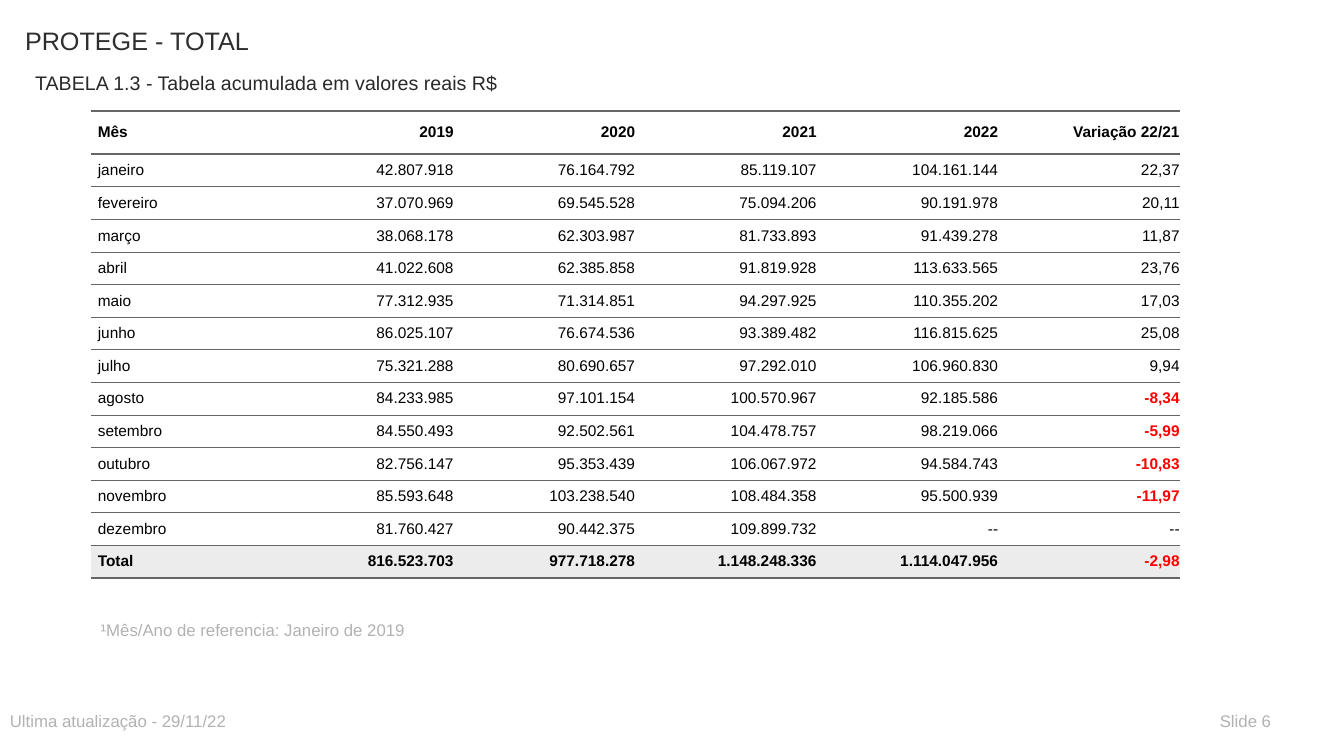
from typing import NamedTuple

from lxml.etree import SubElement
from pptx import Presentation
from pptx.dml.color import RGBColor
from pptx.enum.text import MSO_ANCHOR, PP_ALIGN
from pptx.oxml.ns import qn
from pptx.util import Inches, Pt

FONT = "Arial"
COLORS = {
    "title": "2D2E2D",
    "subtitle": "292929",
    "note": "B2B2B2",
    "cell_text": "000000",
    "negative": "FF0000",
    "rule": "666666",
    "row": "FFFFFF",
    "total_row": "ECECEC",
}
NO_STYLE = "{2D5ABB26-0587-4C30-8999-92F81FD0307C}"
THIN, THICK = 0.5, 2
HEADER_HEIGHT, ROW_HEIGHT, COLUMN_WIDTH = 0.43, 0.25, 1.8


class Caption(NamedTuple):
    text: str
    left: float
    top: float
    width: float
    height: float
    size: int
    color: str


class Row(NamedTuple):
    month: str
    y2019: str
    y2020: str
    y2021: str
    y2022: str
    variation: str


CAPTIONS = [
    Caption("PROTEGE - TOTAL", 0.15, 0.2, 8, 0.59, 18, "title"),
    Caption("TABELA 1.3 - Tabela acumulada em valores reais R$", 0.25, 0.65, 6.5, 0.3, 14, "subtitle"),
    Caption("¹Mês/Ano de referencia: Janeiro de 2019", 0.9, 6.1, 6.5, 0.3, 12, "note"),
    Caption("Ultima atualização - 29/11/22", 0, 7, 6.5, 0.3, 12, "note"),
    Caption("Slide 6", 12, 7, 0.9, 0.3, 12, "note"),
]

ROWS = [
    Row("Mês", "2019", "2020", "2021", "2022", "Variação 22/21"),
    Row("janeiro", "42.807.918", "76.164.792", "85.119.107", "104.161.144", "22,37"),
    Row("fevereiro", "37.070.969", "69.545.528", "75.094.206", "90.191.978", "20,11"),
    Row("março", "38.068.178", "62.303.987", "81.733.893", "91.439.278", "11,87"),
    Row("abril", "41.022.608", "62.385.858", "91.819.928", "113.633.565", "23,76"),
    Row("maio", "77.312.935", "71.314.851", "94.297.925", "110.355.202", "17,03"),
    Row("junho", "86.025.107", "76.674.536", "93.389.482", "116.815.625", "25,08"),
    Row("julho", "75.321.288", "80.690.657", "97.292.010", "106.960.830", "9,94"),
    Row("agosto", "84.233.985", "97.101.154", "100.570.967", "92.185.586", "-8,34"),
    Row("setembro", "84.550.493", "92.502.561", "104.478.757", "98.219.066", "-5,99"),
    Row("outubro", "82.756.147", "95.353.439", "106.067.972", "94.584.743", "-10,83"),
    Row("novembro", "85.593.648", "103.238.540", "108.484.358", "95.500.939", "-11,97"),
    Row("dezembro", "81.760.427", "90.442.375", "109.899.732", "--", "--"),
    Row("Total", "816.523.703", "977.718.278", "1.148.248.336", "1.114.047.956", "-2,98"),
]


def style_text(paragraph, size: int, color: str, bold: bool = False) -> None:
    font = paragraph.font
    font.name, font.size, font.bold = FONT, Pt(size), bold
    font.color.rgb = RGBColor.from_string(COLORS[color])


def add_caption(slide, caption: Caption) -> None:
    box = slide.shapes.add_textbox(
        Inches(caption.left), Inches(caption.top), Inches(caption.width), Inches(caption.height)
    )
    box.text_frame.word_wrap = True
    paragraph = box.text_frame.paragraphs[0]
    paragraph.text = caption.text
    style_text(paragraph, caption.size, caption.color)


def add_rule(cell, side: str, width: float) -> None:
    """Draw one cell border; side is lnT or lnB, called in that order before the fill."""
    line = SubElement(cell._tc.get_or_add_tcPr(), qn(f"a:{side}"), w=str(Pt(width)))
    SubElement(SubElement(line, qn("a:solidFill")), qn("a:srgbClr"), val=COLORS["rule"])


def fill_cell(cell, text: str, is_label: bool, is_header: bool, is_total: bool) -> None:
    add_rule(cell, "lnT", THICK if is_header else THIN)
    add_rule(cell, "lnB", THICK if is_header or is_total else THIN)
    cell.fill.solid()
    cell.fill.fore_color.rgb = RGBColor.from_string(COLORS["total_row" if is_total else "row"])
    cell.vertical_anchor = MSO_ANCHOR.MIDDLE
    cell.margin_left = cell.margin_right = 0
    cell.margin_top = cell.margin_bottom = Inches(0.07)

    negative = text.startswith("-") and text != "--"
    paragraph = cell.text_frame.paragraphs[0]
    paragraph.text = text
    paragraph.alignment = PP_ALIGN.LEFT if is_label else PP_ALIGN.RIGHT
    paragraph.space_before = paragraph.space_after = Pt(5)
    paragraph._p.get_or_add_pPr().set("marL", str(Inches(0.07)))
    style_text(paragraph, 11, "negative" if negative else "cell_text", is_header or is_total or negative)


def add_monthly_table(slide) -> None:
    column_count = len(Row._fields)
    table = slide.shapes.add_table(
        len(ROWS), column_count, Inches(0.9), Inches(1.1),
        Inches(COLUMN_WIDTH * column_count),
        Inches(HEADER_HEIGHT + ROW_HEIGHT * (len(ROWS) - 1)),
    ).table
    table.first_row = table.horz_banding = False
    table._tbl.tblPr.find(qn("a:tableStyleId")).text = NO_STYLE
    for column in table.columns:
        column.width = Inches(COLUMN_WIDTH)
    for r, row in enumerate(ROWS):
        is_header, is_total = r == 0, r == len(ROWS) - 1
        table.rows[r].height = Inches(HEADER_HEIGHT if is_header else ROW_HEIGHT)
        for c, text in enumerate(row):
            fill_cell(table.cell(r, c), text, c == 0, is_header, is_total)


def main() -> None:
    presentation = Presentation()
    presentation.slide_width, presentation.slide_height = Inches(13.33), Inches(7.5)
    slide = presentation.slides.add_slide(presentation.slide_layouts[6])
    for caption in CAPTIONS:
        add_caption(slide, caption)
    add_monthly_table(slide)
    presentation.save("out.pptx")


if __name__ == "__main__":
    main()
